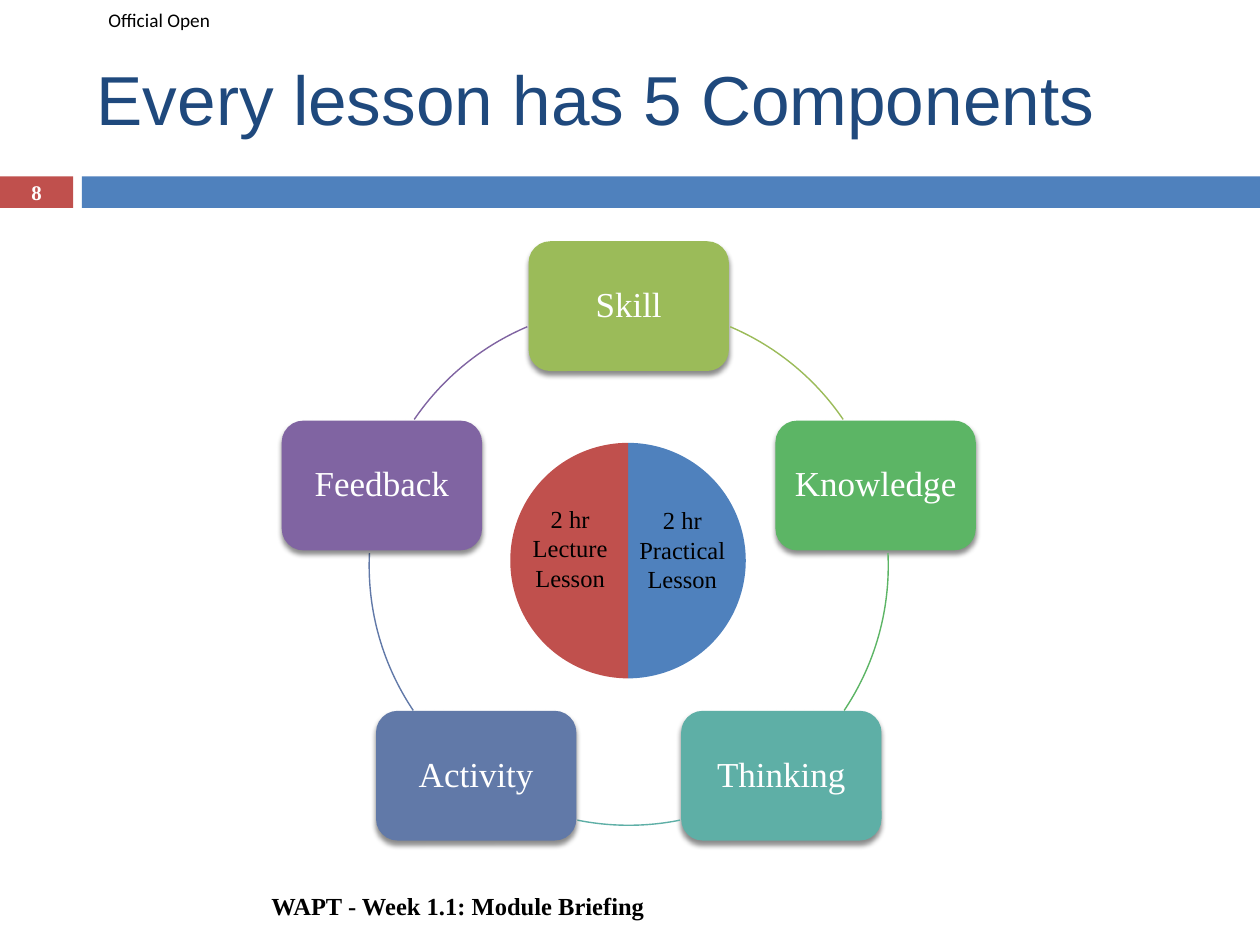
from math import cos, radians, sin

from lxml import etree
from pptx import Presentation
from pptx.chart.data import CategoryChartData
from pptx.dml.color import RGBColor
from pptx.enum.chart import XL_CHART_TYPE
from pptx.enum.shapes import MSO_SHAPE
from pptx.enum.text import MSO_ANCHOR, PP_ALIGN
from pptx.oxml import parse_xml
from pptx.oxml.ns import nsdecls, qn
from pptx.util import Inches, Pt

PIE = XL_CHART_TYPE.PIE
RECTANGLE, ROUNDED, ARC = MSO_SHAPE.RECTANGLE, MSO_SHAPE.ROUNDED_RECTANGLE, MSO_SHAPE.ARC
TOP, MIDDLE = MSO_ANCHOR.TOP, MSO_ANCHOR.MIDDLE
LEFT, CENTER = PP_ALIGN.LEFT, PP_ALIGN.CENTER
SERIF = "Times New Roman"
COLORS = {
    "black": "000000", "white": "FFFFFF", "navy": "1F497D", "red": "C0504D", "blue": "4F81BD",
    "olive": "9BBB59", "green": "5CB565", "teal": "5EAFA6", "slate": "6179A8", "purple": "8064A2",
}
COMPONENTS = [
    ("Skill", "olive", 293, 325.7),
    ("Knowledge", "green", 357.2, 33.9),
    ("Thinking", "teal", 78.6, 101.4),
    ("Activity", "slate", 146.1, 182.8),
    ("Feedback", "purple", 214.3, 247),
]
CENTER_X, CENTER_Y, RADIUS = 4.99, 4.49, 2.06
CARD_WIDTH, CARD_HEIGHT = 1.59, 1.03


def rgb(name):
    """Return the named colour."""
    return RGBColor.from_string(COLORS[name])


def inches(*lengths):
    """Turn plain numbers into lengths."""
    return [Inches(length) for length in lengths]


def write_text(shape, text, size, color, font=SERIF, bold=False, align=CENTER,
               anchor=MIDDLE, insets=(0.1, 0.05, 0.1, 0.05), spacing=1.0):
    """Write one formatted paragraph into a shape."""
    frame = shape.text_frame
    left, top, right, bottom = inches(*insets)
    layout = {"word_wrap": True, "vertical_anchor": anchor, "margin_left": left,
              "margin_top": top, "margin_right": right, "margin_bottom": bottom}
    for name, value in layout.items():
        setattr(frame, name, value)
    para = frame.paragraphs[0]
    para.alignment = align
    para.line_spacing = spacing
    span = para.add_run()
    span.text = text
    for name, value in {"name": font, "size": Pt(size), "bold": bold}.items():
        setattr(span.font, name, value)
    span.font.color.rgb = rgb(color)


def add_label(page, area, text, size, color, **style):
    """Add a text box."""
    box = page.shapes.add_textbox(*inches(*area))
    write_text(box, text, size, color, **style)


def add_block(page, kind, area, color):
    """Add a filled shape without an outline."""
    block = page.shapes.add_shape(kind, *inches(*area))
    block.shadow.inherit = False
    block.fill.solid()
    block.fill.fore_color.rgb = rgb(color)
    block.line.fill.background()
    return block


def add_shadow(shape):
    """Give a shape a soft shadow below it."""
    effects = shape._element.spPr.find(qn("a:effectLst"))
    effects.append(parse_xml(
        f'<a:outerShdw {nsdecls("a")} blurRad="38100" dist="30480" dir="5400000" rotWithShape="0">'
        '<a:srgbClr val="000000"><a:alpha val="45000"/></a:srgbClr></a:outerShdw>'))


def add_card(page, index, text, color):
    """Add a component card at its place on the ring."""
    angle = radians(72 * index - 90)
    left = CENTER_X + RADIUS * cos(angle) - CARD_WIDTH / 2
    top = CENTER_Y + RADIUS * sin(angle) - CARD_HEIGHT / 2
    card = add_block(page, ROUNDED, (left, top, CARD_WIDTH, CARD_HEIGHT), color)
    add_shadow(card)
    write_text(card, text, 20, "white", insets=(0.05,) * 4, spacing=0.9)


def add_arc(page, color, start, end):
    """Add the part of the ring between two angles in degrees."""
    area = (CENTER_X - RADIUS, CENTER_Y - RADIUS, 2 * RADIUS, 2 * RADIUS)
    arc = page.shapes.add_shape(ARC, *inches(*area))
    arc.shadow.inherit = False
    arc.fill.background()
    arc.line.color.rgb = rgb(color)
    arc.line.width = Pt(0.79)
    for index, angle in enumerate((start, end)):
        arc.adjustments[index] = angle * 0.6


def set_plot_size(chart, width, height):
    """Centre the plot with the given shares of the chart area."""
    plot_area = chart._chartSpace.chart.plotArea
    for old in plot_area.findall(qn("c:layout")):
        plot_area.remove(old)
    layout = parse_xml(f'<c:layout {nsdecls("c")}><c:manualLayout/></c:layout>')
    values = {"layoutTarget": "inner", "xMode": "edge", "yMode": "edge",
              "x": (1 - width) / 2, "y": (1 - height) / 2, "w": width, "h": height}
    for name, value in values.items():
        etree.SubElement(layout[0], qn(f"c:{name}")).set("val", str(value))
    plot_area.insert(0, layout)


def add_pie(page, area, diameter):
    """Add the pie of the two lesson halves."""
    data = CategoryChartData()
    data.categories = ["1", "2"]
    data.add_series("Series 1", (50, 50))
    chart = page.shapes.add_chart(PIE, *inches(*area), data).chart
    chart.has_legend = False
    chart.has_title = False
    chart.font.name = SERIF
    chart.font.size = Pt(18)
    chart.font.color.rgb = rgb("black")
    for index, color in enumerate(("blue", "red")):
        form = chart.plots[0].series[0].points[index].format
        form.fill.solid()
        form.fill.fore_color.rgb = rgb(color)
        form.line.fill.background()
    set_plot_size(chart, diameter / area[2], diameter / area[3])


def main():
    """Build the slide and save it."""
    deck = Presentation()
    deck.slide_width, deck.slide_height = inches(10, 7.5)
    page = deck.slides.add_slide(deck.slide_layouts[6])
    add_block(page, RECTANGLE, (0, 1.4, 0.58, 0.25), "red")
    add_block(page, RECTANGLE, (0.65, 1.4, 9.35, 0.25), "blue")
    add_label(page, (0, 0, 1.85, 0.31), "Official Open", 11, "black", font="Calibri",
              align=LEFT, insets=(0.86, 0, 0, 0))
    add_label(page, (0.67, 0.3, 8.83, 0.95), "Every lesson has 5 Components", 39.6, "navy",
              font="Arial", align=LEFT)
    add_label(page, (0, 1.39, 0.58, 0.27), "8", 11.9, "white", bold=True)
    for index, (text, color, start, end) in enumerate(COMPONENTS):
        add_card(page, index, text, color)
        add_arc(page, color, start, end)
    add_pie(page, (3.09, 3.38, 3.79, 2.14), 1.87)
    add_label(page, (4.08, 3.95, 0.89, 0.81), "2 hr Lecture Lesson", 14, "black", anchor=TOP)
    add_label(page, (4.97, 3.96, 0.89, 0.81), "2 hr Practical Lesson", 14, "black", anchor=TOP)
    add_label(page, (0.67, 6.99, 5.93, 0.4), "WAPT - Week 1.1: Module Briefing", 14, "black",
              bold=True)
    deck.save("out.pptx")


if __name__ == "__main__":
    main()
